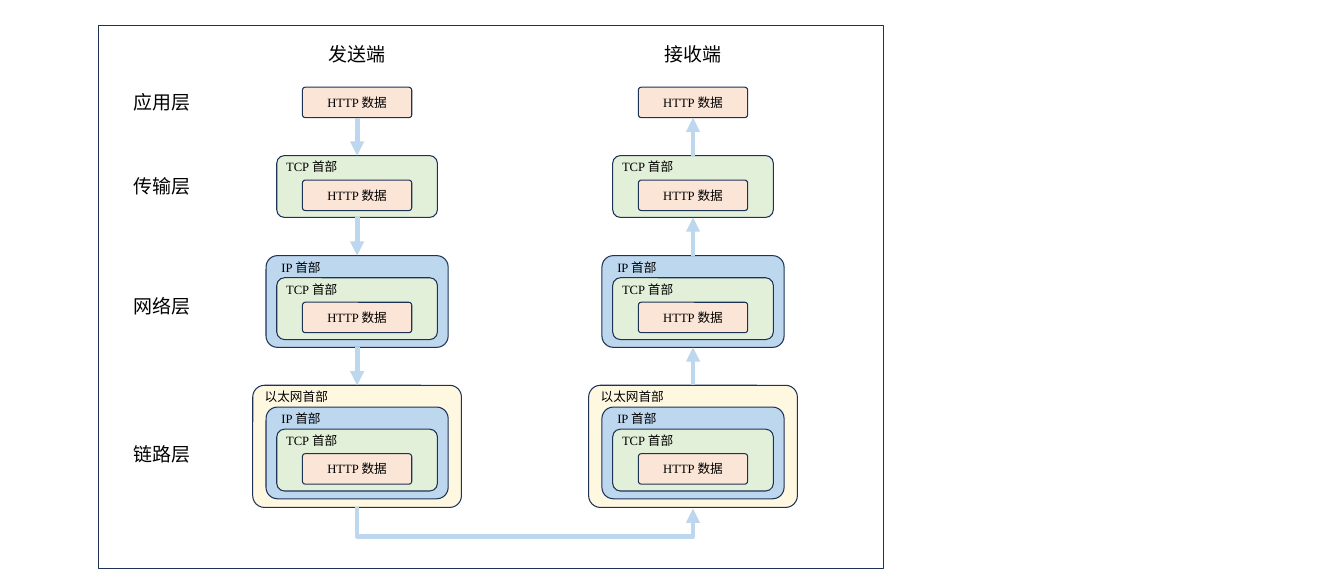
from lxml import etree
from pptx import Presentation
from pptx.dml.color import RGBColor
from pptx.enum.shapes import MSO_CONNECTOR as Connector, MSO_SHAPE as Shape
from pptx.enum.text import MSO_ANCHOR as Anchor, PP_ALIGN as Align
from pptx.oxml.ns import qn
from pptx.util import Cm, Pt

WHITE = RGBColor(0xFF, 0xFF, 0xFF)
BLACK = RGBColor(0x00, 0x00, 0x00)
NAVY = RGBColor(0x1E, 0x32, 0x56)
BLUE = RGBColor(0xBD, 0xD7, 0xEE)
GREEN = RGBColor(0xE2, 0xF0, 0xD9)
PEACH = RGBColor(0xFB, 0xE5, 0xD6)
CREAM = RGBColor(0xFF, 0xF8, 0xE1)
LATIN, CHINESE = "Times New Roman", "Noto Sans CJK SC"

presentation = Presentation()
presentation.slide_width, presentation.slide_height = Cm(45.01), Cm(19.05)
slide = presentation.slides.add_slide(presentation.slide_layouts[6])


def add_box(kind, left, top, width, height, fill):
    shape = slide.shapes.add_shape(kind, Cm(left), Cm(top), Cm(width), Cm(height))
    shape.shadow.inherit = False
    shape.fill.solid()
    shape.fill.fore_color.rgb = fill
    shape.line.color.rgb = NAVY
    shape.line.width = Pt(1)
    return shape


def write_text(shape, size, *runs):
    shape.text_frame.word_wrap = True
    paragraph = shape.text_frame.paragraphs[0]
    paragraph.alignment = Align.CENTER
    paragraph.font.size = Pt(size)
    paragraph.font.color.rgb = BLACK
    for text, font_name in runs:
        run = paragraph.add_run()
        run.text = text
        run.font.name = font_name
        east_asian = etree.SubElement(run._r.get_or_add_rPr(), qn("a:ea"))
        east_asian.set("typeface", CHINESE)


add_box(Shape.RECTANGLE, 3.3, 0.86, 26.29, 18.19, WHITE)

SENDER, RECEIVER = 11.96, 23.21
LABEL_WIDTH = 2.44
captions = [
    ("发送端", SENDER - LABEL_WIDTH / 2, 1.3),
    ("接收端", RECEIVER - LABEL_WIDTH / 2, 1.3),
    ("应用层", 4.22, 2.9),
    ("传输层", 4.22, 5.72),
    ("网络层", 4.22, 9.73),
    ("链路层", 4.2, 14.68),
]
for text, left, top in captions:
    caption = slide.shapes.add_textbox(Cm(left), Cm(top), Cm(LABEL_WIDTH), Cm(1.02))
    write_text(caption, 18, (text, CHINESE))

# name, ending, width, height, drop to next box, corner, fill, label width
envelopes = [
    ("以太网", "首部", 6.99, 4.09, 0.73, 0.096, CREAM, 2.92),
    ("IP ", "首部", 6.1, 3.07, 0.74, 0.124, BLUE, 2.34),
    ("TCP ", "首部", 5.38, 2.07, 0.82, 0.124, GREEN, 2.34),
    ("HTTP ", "数据", 3.66, 1.02, 0, 0.096, PEACH, None),
]
layer_tops = [2.92, 5.21, 8.56, 12.9]

arrows = []
for center in (SENDER, RECEIVER):
    stacks = []
    for depth, layer_top in enumerate(layer_tops, start=1):
        top = layer_top
        for position, envelope in enumerate(envelopes[-depth:]):
            name, ending, width, height, drop, corner, fill, label_width = envelope
            left = center - width / 2
            box = add_box(Shape.ROUNDED_RECTANGLE, left, top, width, height, fill)
            box.adjustments[0] = corner
            if position == 0:
                stacks.append(box)
            target = box
            if label_width:
                target = slide.shapes.add_textbox(Cm(left), Cm(top), Cm(label_width), Cm(0.76))
            else:
                box.text_frame.vertical_anchor = Anchor.MIDDLE
            write_text(target, 12, (name, LATIN), (ending, CHINESE))
            top += drop

    for upper, lower in zip(stacks, stacks[1:]):
        arrow = slide.shapes.add_connector(Connector.STRAIGHT, 0, 0, 0, 0)
        if center == SENDER:
            arrow.begin_connect(upper, 2)
            arrow.end_connect(lower, 0)
        else:
            arrow.begin_connect(lower, 0)
            arrow.end_connect(upper, 2)
        arrows.append(arrow)

RISE, DEPTH = 0.04, 0.97
LINK_BOTTOM = 17.01
span = RECEIVER - SENDER
left, top = (SENDER + RECEIVER - RISE) / 2, LINK_BOTTOM - span / 2
link = slide.shapes.add_connector(
    Connector.ELBOW, Cm(left), Cm(top), Cm(left + RISE), Cm(top + span)
)
frame = link._element.spPr.find(qn("a:xfrm"))
frame.set("rot", "16200000")
frame.set("flipH", "1")
guides = link._element.spPr.find(qn("a:prstGeom")).find(qn("a:avLst"))
etree.SubElement(guides, qn("a:gd"), name="adj1", fmla=f"val {round(DEPTH / RISE * 100000)}")
arrows.append(link)

for arrow in arrows:
    arrow.line.color.rgb = BLUE
    arrow.line.width = Pt(4.5)
    etree.SubElement(arrow.line._get_or_add_ln(), qn("a:tailEnd"), type="triangle")
    etree.SubElement(arrow._element.spPr, qn("a:effectLst"))

presentation.save("out.pptx")
